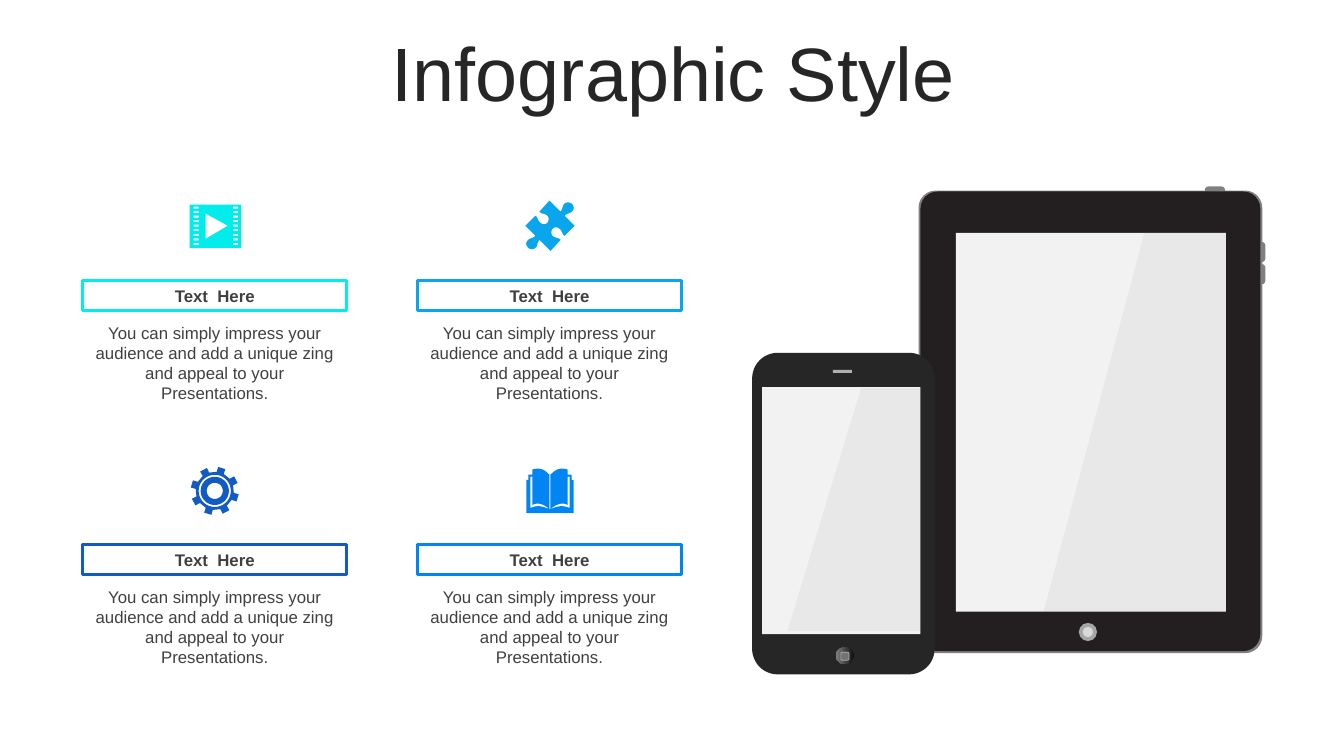
from math import cos, radians, sin

from lxml.etree import SubElement
from pptx import Presentation
from pptx.dml.color import RGBColor
from pptx.enum.shapes import MSO_SHAPE
from pptx.enum.text import MSO_ANCHOR, PP_ALIGN
from pptx.oxml.ns import qn
from pptx.util import Inches, Pt


def color(hex_string):
    return RGBColor.from_string(hex_string)


def outline(*steps, parts=8):
    """Turn points (x, y) and cubic curves (six numbers) into a list of points."""
    points = [steps[0]]
    for step in steps[1:]:
        if len(step) == 2:
            points.append(step)
            continue
        x0, y0 = points[-1]
        x1, y1, x2, y2, x3, y3 = step
        for i in range(1, parts + 1):
            t = i / parts
            u = 1 - t
            a, b, c, d = u ** 3, 3 * u * u * t, 3 * u * t * t, t ** 3
            points.append((a * x0 + b * x1 + c * x2 + d * x3,
                           a * y0 + b * y1 + c * y2 + d * y3))
    return points


def box(left, top, width, height):
    right, bottom = left + width, top + height
    return [(left, top), (right, top), (right, bottom), (left, bottom)]


def polar(center, radius, degrees):
    angle = radians(degrees)
    return center[0] + radius * cos(angle), center[1] + radius * sin(angle)


class SlideBuilder:
    font = "Arial"
    ink = "404040"

    def __init__(self, slide):
        self.slide = slide

    def paint(self, shape, fill, line=None, width=0.0, alpha=None):
        shape.shadow.inherit = False
        if fill:
            shape.fill.solid()
            shape.fill.fore_color.rgb = color(fill)
        else:
            shape.fill.background()
        if alpha:
            solid = shape.element.spPr.find(qn("a:solidFill"))
            SubElement(solid[0], qn("a:alpha")).set("val", str(alpha * 1000))
        if line:
            shape.line.color.rgb = color(line)
            shape.line.width = Pt(width)
        else:
            shape.line.fill.background()
        return shape

    def preset(self, kind, place, fill, line=None, width=0.0, corner=None):
        shape = self.slide.shapes.add_shape(kind, *map(Inches, place))
        if corner is not None:
            shape.adjustments[0] = corner
        return self.paint(shape, fill, line, width)

    def freeform(self, contours, fill, alpha=None):
        """Draw closed contours as one shape; inner contours become holes."""
        builder = None
        for contour in contours:
            points = [(Inches(x), Inches(y)) for x, y in contour]
            if builder is None:
                builder = self.slide.shapes.build_freeform(*points[0])
            else:
                builder.move_to(*points[0])
            builder.add_line_segments(points[1:], close=True)
        return self.paint(builder.convert_to_shape(), fill, alpha=alpha)

    def label(self, shape, text, size, ink=None, bold=False, anchor=MSO_ANCHOR.TOP):
        frame = shape.text_frame
        frame.word_wrap = True
        frame.vertical_anchor = anchor
        paragraph = frame.paragraphs[0]
        paragraph.text = text
        paragraph.alignment = PP_ALIGN.CENTER
        font = paragraph.font
        font.name, font.size, font.bold = self.font, Pt(size), bold
        font.color.rgb = color(ink or self.ink)
        return paragraph

    def text(self, place, text, size, **style):
        return self.label(self.slide.shapes.add_textbox(*map(Inches, place)),
                          text, size, **style)


prs = Presentation()
prs.slide_width, prs.slide_height = Inches(13.33), Inches(7.5)
page = SlideBuilder(prs.slides.add_slide(prs.slide_layouts[6]))
ROUND, OVAL, RECT = MSO_SHAPE.ROUNDED_RECTANGLE, MSO_SHAPE.OVAL, MSO_SHAPE.RECTANGLE

# Tablet
for button in [(11.95, 1.85, 0.2, 0.07), (12.48, 2.4, 0.07, 0.2), (12.48, 2.62, 0.07, 0.2)]:
    page.preset(ROUND, button, "808080", corner=0.5)
page.preset(ROUND, (9.11, 1.89, 3.41, 4.59), "808080", corner=0.05)
page.preset(ROUND, (9.13, 1.9, 3.37, 4.56), "231F20", corner=0.05)
page.preset(RECT, (9.48, 2.31, 2.68, 3.76), "F2F2F2")
page.freeform([[(11.35, 2.31), (12.16, 2.31), (12.16, 6.07), (10.35, 6.07)]], "999999", alpha=10)
page.preset(OVAL, (10.7, 6.18, 0.18, 0.18), "A6A6A6")
page.preset(OVAL, (10.74, 6.22, 0.1, 0.1), "D9D9D9")

# Phone
page.preset(ROUND, (7.46, 3.5, 1.81, 3.19), "262626", corner=0.14)
page.preset(RECT, (8.26, 3.67, 0.19, 0.03), "B0B0B0")
home_button = page.preset(OVAL, (8.29, 6.42, 0.18, 0.17), "595959")
home_button.fill.gradient()
home_button.fill.gradient_angle = 180
for stop, shade in zip(home_button.fill.gradient_stops, ("0F0F0F", "808080")):
    stop.color.rgb = color(shade)
page.preset(ROUND, (8.34, 6.47, 0.08, 0.08), "737373", "B0B0B0", 0.5)
page.preset(RECT, (7.56, 3.84, 1.57, 2.45), "F2F2F2")
page.freeform([[(8.54, 3.85), (9.13, 3.85), (9.13, 6.26), (7.81, 6.26)]], "999999", alpha=10)

# Title
title = page.text((0.35, 0.37, 12.66, 0.79), "Infographic Style", 54,
                  ink="262626", anchor=MSO_ANCHOR.MIDDLE)
title.line_spacing = 0.9
title.space_before = Pt(10)

# Film icon: frame, play sign and two columns of perforations
film = [box(1.88, 2.03, 0.51, 0.43), [(2.04, 2.12), (2.04, 2.37), (2.26, 2.24)]]
film += [box(x, 2.05 + 0.36 / 8 * row, 0.05, 0.02) for row in range(9) for x in (1.92, 2.31)]

# Puzzle icon: one half, then the same half turned by 180 degrees
half_piece = outline(
    (5.67, 2.02), (5.69, 2.04, 5.7, 2.07, 5.68, 2.09),
    (5.66, 2.12, 5.63, 2.11, 5.6, 2.14), (5.7, 2.24), (5.6, 2.34),
    (5.57, 2.32, 5.58, 2.29, 5.55, 2.27), (5.53, 2.25, 5.5, 2.25, 5.48, 2.27),
    (5.47, 2.28, 5.46, 2.32, 5.48, 2.34), (5.52, 2.37, 5.53, 2.35, 5.56, 2.38),
    (5.46, 2.49), (5.35, 2.38), (5.32, 2.42, 5.34, 2.43, 5.31, 2.46),
    (5.29, 2.48, 5.25, 2.47, 5.24, 2.46))
puzzle = [half_piece + [(10.91 - x, 4.48 - y) for x, y in half_piece]]

# Gear icon: eight teeth and three rings
hub = (2.13, 4.87)
teeth = [polar(hub, radius, 17 + 45 * tooth + turn) for tooth in range(8)
         for radius, turn in ((0.19, -11), (0.24, -9), (0.24, 9), (0.19, 11))]
gear = [teeth] + [[polar(hub, radius, angle) for angle in range(0, 360, 10)]
                  for radius in (0.16, 0.14, 0.08)]

# Book icon: right half mirrored at the spine
cover_edge = outline((5.46, 4.71), (5.5, 4.67, 5.53, 4.65, 5.57, 4.65),
                     (5.59, 4.65, 5.61, 4.65, 5.63, 4.66), (5.63, 4.71), (5.67, 4.71),
                     (5.67, 4.76), (5.69, 4.76), (5.69, 5.09))
page_gap = outline((5.46, 5.05), (5.54, 5.02, 5.58, 5.01, 5.65, 5.04), (5.65, 4.73),
                   (5.63, 4.73), (5.63, 5.01), (5.58, 4.98, 5.52, 5, 5.46, 5.05))


def mirrored(points):
    return [(10.91 - x, y) for x, y in points]


book = [cover_edge + mirrored(cover_edge)[::-1], page_gap, mirrored(page_gap),
        box(5.45, 4.71, 0.01, 0.34)]

# Four topics in a two by two grid
BODY = "You can simply impress your audience and add a unique zing and appeal to your Presentations."
topics = [(film, "02ECEC"), (puzzle, "0AA6ED"), (gear, "125AC4"), (book, "0085F2")]
for index, (icon, accent) in enumerate(topics):
    row, column = divmod(index, 2)
    left, top = 0.82 + 3.32 * column, 2.78 + 2.62 * row
    page.text((left, top + 0.37, 2.62, 0.91), BODY, 12)
    heading = page.preset(RECT, (left, top, 2.62, 0.3), None, accent, 2)
    page.label(heading, "Text  Here", 12, bold=True, anchor=MSO_ANCHOR.MIDDLE)
    page.freeform(icon, accent)

prs.save("out.pptx")
